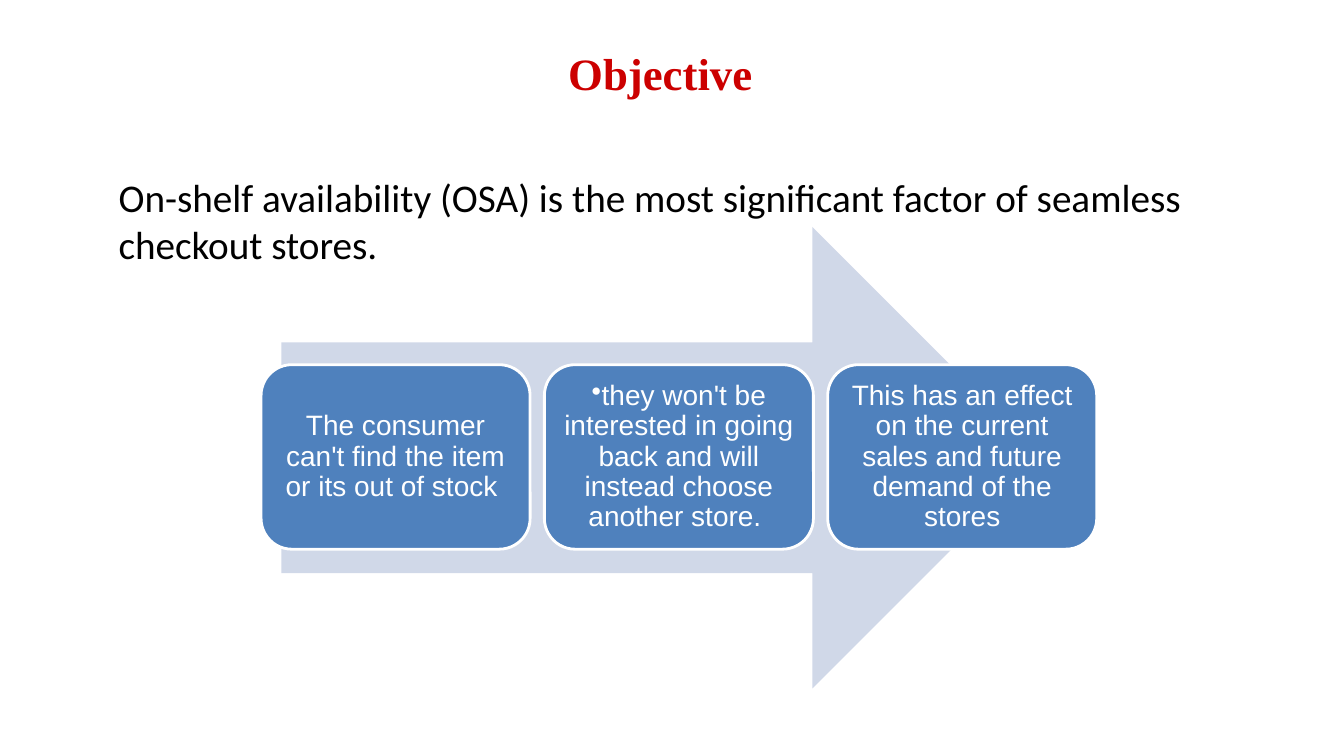
"""Build the Objective slide on on-shelf availability."""
import lxml.etree
import pptx
import pptx.dml.color
import pptx.enum.shapes
import pptx.enum.text
import pptx.oxml.ns
import pptx.util

Cm = pptx.util.Cm
Pt = pptx.util.Pt
SHAPE = pptx.enum.shapes.MSO_SHAPE
COLORS = {"title": "CC0000", "body": "000000", "arrow": "D0D8E8",
          "step": "4F81BD", "white": "FFFFFF"}
FORMATS = {
    "title": {"name": "Times New Roman", "size": Pt(32), "bold": True},
    "body": {"name": "Calibri", "size": Pt(28)},
    "white": {"name": "Arial", "size": Pt(20)},
}


class Deck:
    def __init__(self):
        self.prs = pptx.Presentation()
        self.prs.slide_width, self.prs.slide_height = Cm(33.87), Cm(19.05)
        self.s = self.prs.slides.add_slide(self.prs.slide_layouts[6])

    def color(self, name):
        return pptx.dml.color.RGBColor.from_string(COLORS[name])

    def fill_text(self, tf, text, style):
        tf.word_wrap = True
        p = tf.paragraphs[0]
        r = p.add_run()
        r.text = text
        for key, value in FORMATS[style].items():
            setattr(r.font, key, value)
        r.font.color.rgb = self.color(style)
        return p

    def text(self, box, text, style):
        sp = self.s.shapes.add_textbox(*map(Cm, box))
        self.fill_text(sp.text_frame, text, style)

    def shape(self, kind, box, fill):
        sp = self.s.shapes.add_shape(kind, *map(Cm, box))
        sp.shadow.inherit = False
        sp.fill.solid()
        sp.fill.fore_color.rgb = self.color(fill)
        sp.line.fill.background()
        return sp

    def step(self, box, text, bullet):
        sp = self.shape(SHAPE.ROUNDED_RECTANGLE, box, "step")
        sp.line.color.rgb = self.color("white")
        sp.line.width = Pt(2)
        tf = sp.text_frame
        for side in ("left", "top", "right", "bottom"):
            setattr(tf, f"margin_{side}", Cm(0.2))
        tf.vertical_anchor = pptx.enum.text.MSO_ANCHOR.MIDDLE
        p = self.fill_text(tf, text, "white")
        p.alignment = pptx.enum.text.PP_ALIGN.CENTER
        p.line_spacing = 0.9
        if bullet:
            pPr = p._p.get_or_add_pPr()
            pPr.set("marL", "0")
            pPr.set("indent", "0")
            bu = lxml.etree.SubElement(pPr, pptx.oxml.ns.qn("a:buChar"))
            bu.set("char", "•")


def main():
    deck = Deck()
    deck.text((14.07, 1.04, 6.15, 1.63), "Objective", "title")
    deck.text((2.74, 4.24, 28.78, 3.84),
              "On-shelf availability (OSA) is the most significant factor of "
              "seamless checkout stores.", "body")
    deck.shape(SHAPE.RIGHT_ARROW, (7.09, 5.72, 19.2, 11.63), "arrow")
    steps = [
        ("The consumer can't find the item or its out of stock ", False),
        ("they won't be interested in going back and will instead choose "
         "another store. ", True),
        ("This has an effect on the current sales and future demand of the "
         "stores", False),
    ]
    for i, (text, bullet) in enumerate(steps):
        deck.step((6.58 + 7.14 * i, 9.19, 6.78, 4.65), text, bullet)
    deck.prs.save("out.pptx")


if __name__ == "__main__":
    main()
